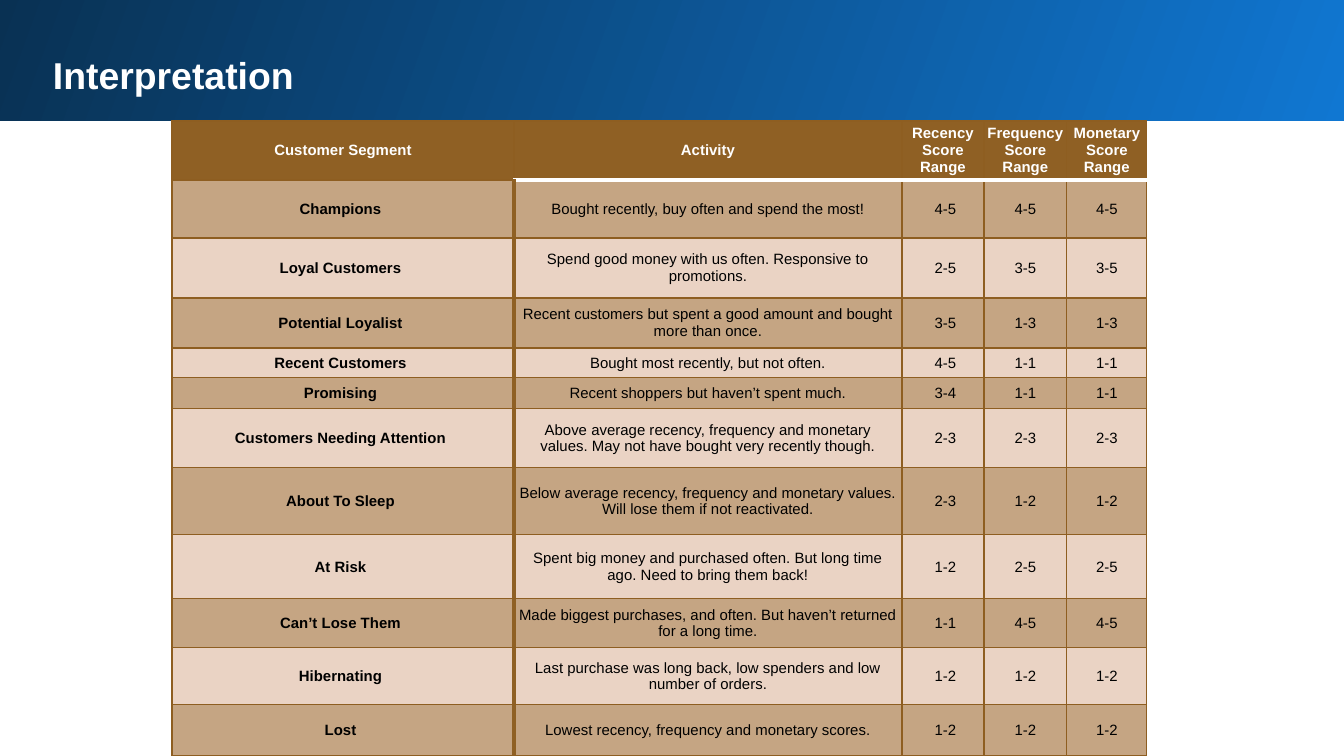
from lxml.etree import SubElement
from pptx import Presentation
from pptx.dml.color import RGBColor
from pptx.enum.shapes import MSO_SHAPE
from pptx.enum.text import MSO_ANCHOR, PP_ALIGN
from pptx.oxml.ns import qn
from pptx.util import Pt

WHITE = RGBColor(0xFF, 0xFF, 0xFF)
BLACK = RGBColor(0x00, 0x00, 0x00)
BLUE = RGBColor(0x10, 0x77, 0xD2)
NAVY = RGBColor(0x09, 0x31, 0x53)
BROWN = RGBColor(0x8F, 0x60, 0x24)
RULE = RGBColor(0x8E, 0x5E, 0x21)
TAN = RGBColor(0xC5, 0xA5, 0x83)
BLUSH = RGBColor(0xEA, 0xD3, 0xC4)

TITLE = "Interpretation"
HEADER = ("Customer Segment", "Activity", "Recency Score Range",
          "Frequency Score Range", "Monetary Score Range")
SEGMENTS = [
    ("Champions", "Bought recently, buy often and spend the most!", "4-5", "4-5", "4-5"),
    ("Loyal Customers", "Spend good money with us often. Responsive to promotions.",
     "2-5", "3-5", "3-5"),
    ("Potential Loyalist",
     "Recent customers but spent a good amount and bought more than once.",
     "3-5", "1-3", "1-3"),
    ("Recent Customers", "Bought most recently, but not often.", "4-5", "1-1", "1-1"),
    ("Promising", "Recent shoppers but haven’t spent much.", "3-4", "1-1", "1-1"),
    ("Customers Needing Attention",
     "Above average recency, frequency and monetary values. "
     "May not have bought very recently though.", "2-3", "2-3", "2-3"),
    ("About To Sleep",
     "Below average recency, frequency and monetary values. "
     "Will lose them if not reactivated.", "2-3", "1-2", "1-2"),
    ("At Risk",
     "Spent big money and purchased often. But long time ago. "
     "Need to bring them back!", "1-2", "2-5", "2-5"),
    ("Can’t Lose Them",
     "Made biggest purchases, and often. But haven’t returned for a long time.",
     "1-1", "4-5", "4-5"),
    ("Hibernating",
     "Last purchase was long back, low spenders and low number of orders.",
     "1-2", "1-2", "1-2"),
    ("Lost", "Lowest recency, frequency and monetary scores.", "1-2", "1-2", "1-2"),
]
COL_WIDTHS = (342, 388, 82, 83, 80)
ROW_HEIGHTS = (59, 58, 60, 50, 30, 31, 59, 67, 64, 49, 57, 51)
INSETS = ((0, 5, 5, 5), (5, 5, 5, 5), (5, 5, 0, 5), (0, 0, 0, 0), (0, 0, 0, 0))


def px(n):
    return round(n * 914400 / 134.4)


def write(tf, text, size=8, bold=False, color=BLACK, align=PP_ALIGN.CENTER):
    tf.word_wrap = True
    p = tf.paragraphs[0]
    p.alignment = align
    r = p.add_run()
    r.text = text
    r.font.name = "Arial"
    r.font.size = Pt(size)
    r.font.bold = bold
    r.font.color.rgb = color


def set_insets(box, left, top, right, bottom):
    box.margin_left, box.margin_top = px(left), px(top)
    box.margin_right, box.margin_bottom = px(right), px(bottom)


def set_border(cell, side, color=RULE, width=0.75):
    ln = SubElement(cell._tc.get_or_add_tcPr(), qn(f"a:ln{side}"), w=str(Pt(width)))
    SubElement(SubElement(ln, qn("a:solidFill")), qn("a:srgbClr"), val=str(color))


def border_style(side, row, col):
    if col and (row, side) in ((0, "B"), (1, "T")):
        return WHITE, 2
    if row and (col, side) in ((0, "R"), (1, "L")):
        return BROWN, 2
    return RULE, 0.75


def add_banner(s):
    sp = s.shapes.add_shape(MSO_SHAPE.RECTANGLE, px(-3), px(-3), px(1350), px(124))
    sp.shadow.inherit = False
    sp.line.fill.background()
    sp.fill.gradient()
    sp.fill.gradient_angle = 160
    for stop, color in zip(sp.fill.gradient_stops, (BLUE, NAVY)):
        stop.color.rgb = color
    for stop, position in zip(sp.fill.gradient_stops, (0, 1)):
        stop.position = position


def add_title(s):
    tf = s.shapes.add_textbox(px(30), px(39), px(1259), px(73)).text_frame
    set_insets(tf, 23, 13, 13, 13)
    write(tf, TITLE, size=20, bold=True, color=WHITE, align=PP_ALIGN.LEFT)


def add_segments(s):
    rows = [HEADER, *SEGMENTS]
    frame = s.shapes.add_table(len(rows), len(HEADER), px(172), px(121),
                               px(sum(COL_WIDTHS)), px(sum(ROW_HEIGHTS)))
    table = frame.table
    table.first_row = table.horz_banding = False
    for column, width in zip(table.columns, COL_WIDTHS):
        column.width = px(width)
    for row, height in zip(table.rows, ROW_HEIGHTS):
        row.height = px(height)
    for i, texts in enumerate(rows):
        head = i == 0
        fill = BROWN if head else (TAN if i % 2 else BLUSH)
        for j, text in enumerate(texts):
            cell = table.cell(i, j)
            cell.vertical_anchor = MSO_ANCHOR.MIDDLE
            set_insets(cell, *((0, 0, 0, 0) if head else INSETS[j]))
            write(cell.text_frame, text, bold=head or j == 0,
                  color=WHITE if head else BLACK)
            for side in "LRTB":
                set_border(cell, side, *border_style(side, i, j))
            cell.fill.solid()
            cell.fill.fore_color.rgb = fill


def main():
    prs = Presentation()
    prs.slide_width, prs.slide_height = px(1344), px(756)
    s = prs.slides.add_slide(prs.slide_layouts[6])
    add_banner(s)
    add_title(s)
    add_segments(s)
    prs.save("out.pptx")


if __name__ == "__main__":
    main()
